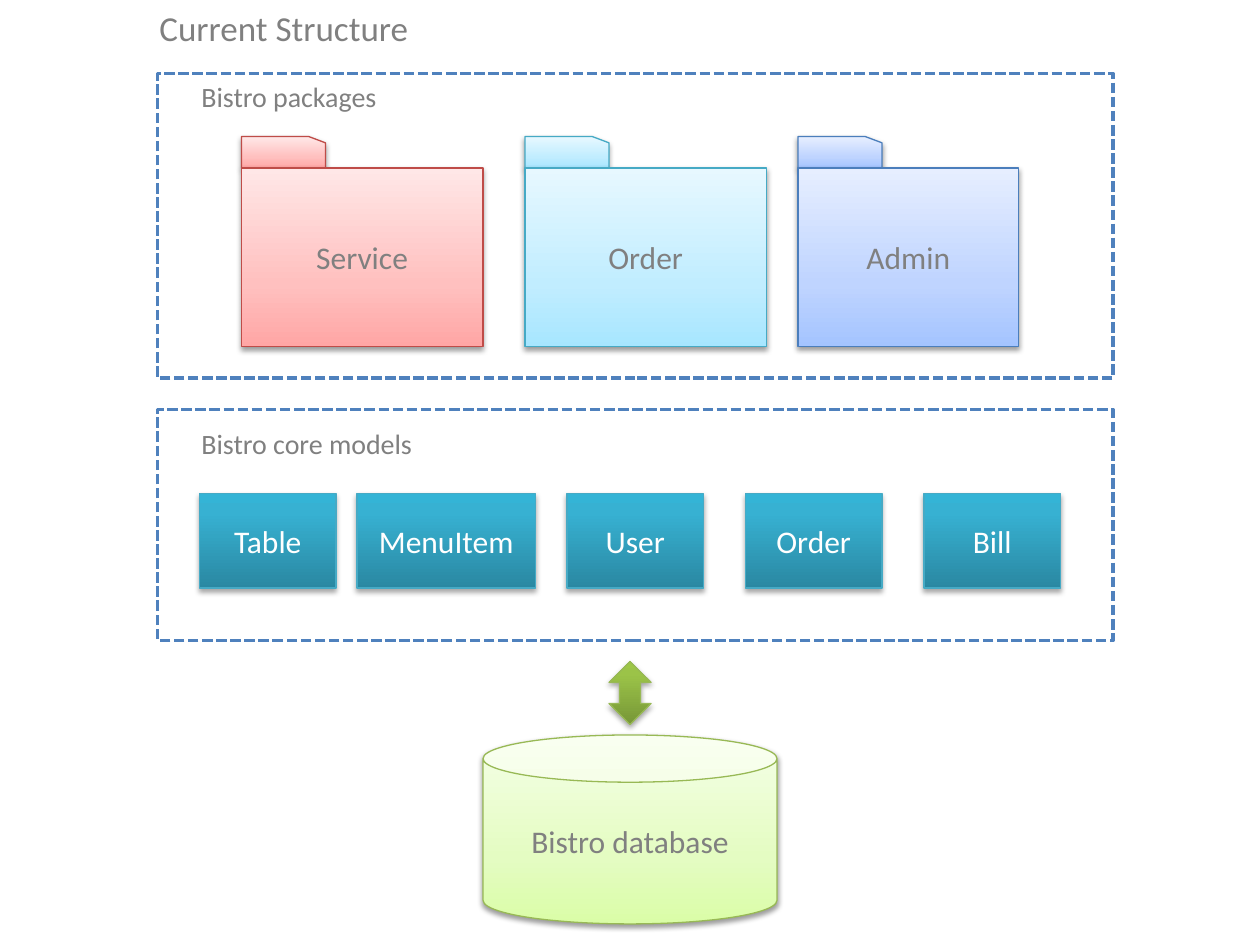
from copy import deepcopy

from lxml.etree import SubElement
from pptx import Presentation
from pptx.dml.color import RGBColor
from pptx.enum.dml import MSO_LINE
from pptx.enum.shapes import MSO_SHAPE
from pptx.enum.text import MSO_ANCHOR, MSO_AUTO_SIZE, PP_ALIGN
from pptx.oxml.ns import qn
from pptx.util import Pt

GREY = "808080"
WHITE = "FFFFFF"
STRONG_STOPS = (0, 0.8, 1)
SOFT_STOPS = (0, 0.35, 1)


def rgb(value):
    """Turn a hex string into a colour."""
    return RGBColor.from_string(value)


def add_block(parent, preset, box, colors, stops, outline, label="", ink=GREY):
    """Add a gradient shape with a soft shadow and an optional centred label."""
    block = parent.add_shape(preset, *map(Pt, box))
    block.line.color.rgb = rgb(outline)
    block.line.width = Pt(0.75)

    block.fill.gradient()
    block.fill.gradient_angle = 90
    stop_list = block._element.spPr.find(".//" + qn("a:gsLst"))
    stop_list.append(deepcopy(stop_list[0]))
    for stop, color, position in zip(block.fill.gradient_stops, colors, stops):
        stop.color.rgb = rgb(color)
        stop.position = position

    block.shadow.inherit = False
    strong = stops == STRONG_STOPS
    effects = block._element.spPr.find(qn("a:effectLst"))
    shadow = SubElement(effects, qn("a:outerShdw"), blurRad=str(Pt(3.1)),
                        dist=str(Pt(1.8 if strong else 1.6)),
                        dir="5400000", rotWithShape="0")
    shade = SubElement(shadow, qn("a:srgbClr"), val="000000")
    SubElement(shade, qn("a:alpha"), val="35000" if strong else "38000")

    if label:
        block.text_frame.text = label
        block.text_frame.vertical_anchor = MSO_ANCHOR.MIDDLE
        paragraph = block.text_frame.paragraphs[0]
        paragraph.alignment = PP_ALIGN.CENTER
        paragraph.font.name = "Calibri"
        paragraph.font.size = Pt(18)
        paragraph.font.color.rgb = rgb(ink)
    return block


presentation = Presentation()
presentation.slide_width = Pt(720)
presentation.slide_height = Pt(540)
slide = presentation.slides.add_slide(presentation.slide_layouts[6])
shapes = slide.shapes

# Dashed frames around packages and models
for top, height in ((42, 174), (234, 132)):
    frame = shapes.add_shape(MSO_SHAPE.RECTANGLE, Pt(90), Pt(top), Pt(546), Pt(height))
    frame.shadow.inherit = False
    frame.fill.solid()
    frame.fill.fore_color.rgb = rgb(WHITE)
    frame.line.color.rgb = rgb("4F81BD")
    frame.line.width = Pt(2)
    frame.line.dash_style = MSO_LINE.SQUARE_DOT

# Package folders: a tab with a cut corner above a body
packages = (
    ("Service", 138, 138, ("FFA6A5", "FFC0BF", "FFE7E7"), "BF4C48"),
    ("Order", 300, 138, ("A7E6FF", "C1EDFF", "E7F8FF"), "46AAC5"),
    ("Admin", 456, 126, ("A4C4FF", "BFD4FF", "E6EEFF"), "4B7EBC"),
)
for name, left, width, colors, outline in packages:
    folder = shapes.add_group_shape().shapes
    tab = add_block(folder, MSO_SHAPE.FLOWCHART_CARD, (left, 78, 48, 18),
                    colors, SOFT_STOPS, outline)
    tab._element.spPr.xfrm.set("flipH", "1")
    add_block(folder, MSO_SHAPE.RECTANGLE, (left, 96, width, 102),
              colors, SOFT_STOPS, outline, name)

# Core models
models = (("Table", 114, 78), ("MenuItem", 204, 102), ("User", 324, 78),
          ("Order", 426, 78), ("Bill", 528, 78))
for name, left, width in models:
    add_block(shapes, MSO_SHAPE.RECTANGLE, (left, 282, width, 54),
              ("2A88A2", "37B1D2", "34B4D6"), STRONG_STOPS, "46AAC5", name, WHITE)

# Database and its link to the models
add_block(shapes, MSO_SHAPE.UP_DOWN_ARROW, (348, 378, 24, 36),
          ("779737", "9BC348", "9DC746"), STRONG_STOPS, "98B955")
add_block(shapes, MSO_SHAPE.CAN, (276, 420, 168, 108),
          ("DAFDA7", "E4FCC2", "F5FFE7"), SOFT_STOPS, "98B955", "Bistro database")

# Headings
headings = (
    ("Current Structure", 84, 0, 158.4, 31.5, 20, False),
    ("Bistro packages", 108, 42, 150, 26.66, 16, True),
    ("Bistro core models", 108, 240, 135.4, 26.66, 16, False),
)
for words, left, top, width, height, size, wrap in headings:
    heading = shapes.add_textbox(Pt(left), Pt(top), Pt(width), Pt(height)).text_frame
    heading.word_wrap = wrap
    heading.auto_size = MSO_AUTO_SIZE.SHAPE_TO_FIT_TEXT
    heading.text = words
    font = heading.paragraphs[0].font
    font.name = "Calibri"
    font.size = Pt(size)
    font.color.rgb = rgb(GREY)

presentation.save("out.pptx")
